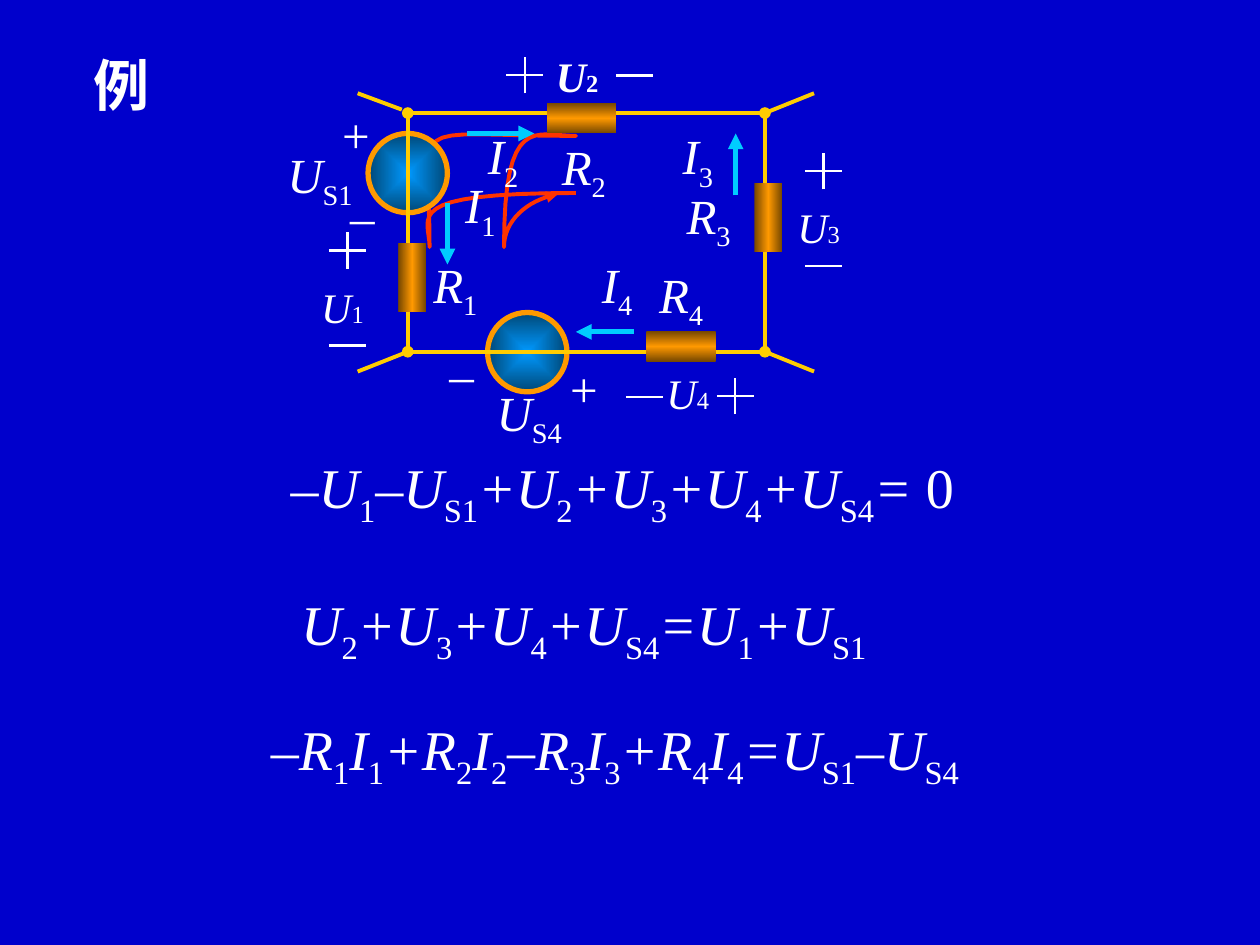
"""Build a slide on Kirchhoff's voltage law with a one-loop circuit and its equations."""
from dataclasses import dataclass
from typing import NamedTuple

from pptx import Presentation, oxml, util as u
from pptx.dml.color import RGBColor
from pptx.enum import shapes as kinds, text as styles
from pptx.oxml import ns

Cm, Pt = u.Cm, u.Pt
FONT = "Times New Roman"
WHITE, BLUE, GOLD, ORANGE, CYAN, RED = "FFFFFF", "0000CC", "FFCC00", "FF9900", "00CCFF", "FF3300"
RESISTOR_STOPS = ((0, "764700"), (50, ORANGE), (100, "764700"))
SOURCE_STOPS = ((0, "0099FF"), (100, "004776"))
RADIAL = '<a:path path="rect"><a:fillToRect l="50000" t="50000" r="50000" b="50000"/></a:path>'
LEFT, RIGHT, TOP, BOTTOM = 8.22, 15.42, 2.28, 7.09
SIGN_LENGTH = 0.74


class Point(NamedTuple):
    x: float
    y: float


@dataclass
class Label:
    """Text whose formula alternates italic symbols and subscripts, split by bars."""
    x: float
    y: float
    width: float
    formula: str = ""
    suffix: str = ""
    height: float = 1.6
    size: int = 28
    small: int = 0
    bold: bool = False
    centred: bool = True


@dataclass
class Wire:
    start: Point
    end: Point
    colour: str = GOLD
    weight: float = 2.25
    head: str = ""
    tail: str = ""


EQUATIONS = [
    Label(5.61, 8.99, 15.4, "–U|1|–U|S1|+U|2|+U|3|+U|4|+U|S4|= ", "0", 1.8, 32, centred=False),
    Label(5.82, 11.76, 13.2, "U|2|+U|3|+U|4|+U|S4|=U|1|+U|S1", "", 1.8, 32, centred=False),
    Label(5.21, 14.27, 16.6, "–R|1|I|1|+R|2|I|2|–R|3|I|3|+R|4|I|4|=U|S1|–U|S4", "", 1.8, 32,
          centred=False),
]
VOLTAGES = [
    Label(x, y, 1.37, f"U|{number}", height=1.27, size=24, small=14, bold=number == 2)
    for number, x, y in ((3, 15.82, 3.94), (1, 6.22, 5.54), (2, 10.95, 0.89), (4, 13.18, 7.29))
]
PARTS = [
    Label(8.81, 3.4, 1.75, "I|1"),
    Label(9.42, 2.41, 1.45, "I|2"),
    Label(13.41, 2.41, 1.32, "I|3"),
    Label(11.4, 5.0, 2.08, "I|4"),
    Label(8.23, 5.0, 1.9, "R|1"),
    Label(10.82, 2.62, 1.9, "R|2"),
    Label(13.41, 3.61, 1.75, "R|3"),
    Label(12.83, 5.21, 1.8, "R|4"),
    Label(5.41, 2.79, 2.08, "U|S1"),
    Label(9.63, 7.59, 2.08, "U|S4"),
    Label(6.65, 1.98, 1.0, suffix="+", height=1.45),
    Label(6.81, 3.28, 0.81, suffix="_", height=1.45),
    Label(11.02, 7.09, 1.5, suffix="+", height=1.45),
    Label(8.81, 6.48, 0.81, suffix="_", height=1.45),
]
PLUSES = [Point(16.6, 3.45), Point(7, 5.05), Point(10.58, 1.51), Point(14.82, 7.98)]
MINUSES = [Point(16.6, 5.36), Point(7, 6.96), Point(12.79, 1.52), Point(12.99, 8)]
WIRES = [
    Wire(Point(LEFT, TOP), Point(RIGHT, TOP)),
    Wire(Point(LEFT, BOTTOM), Point(RIGHT, BOTTOM)),
    Wire(Point(RIGHT, TOP), Point(RIGHT, BOTTOM), head="oval", tail="oval"),
    Wire(Point(LEFT, TOP), Point(LEFT, BOTTOM), head="oval", tail="oval"),
    Wire(Point(RIGHT, BOTTOM), Point(16.41, 7.49)),
    Wire(Point(RIGHT, TOP), Point(16.41, 1.88)),
    Wire(Point(LEFT, BOTTOM), Point(7.21, 7.49)),
    Wire(Point(7.21, 1.88), Point(8.1, 2.21)),
]
CURRENTS = [
    Wire(Point(*start), Point(*end), CYAN, 3, tail="triangle")
    for start, end in (((9.02, 4.09), (9.02, 5.33)), ((12.78, 6.69), (11.61, 6.69)),
                       ((9.42, 2.69), (10.77, 2.69)), ((14.83, 3.94), (14.83, 2.69)))
]
SOURCES = [Point(9.83, 6.3), Point(7.42, 2.69)]
UPRIGHT_RESISTORS = [Point(15.21, 3.68), Point(8.03, 4.9)]
FLAT_RESISTORS = [Point(13.03, 6.68), Point(11.02, 2.08)]
LOOP_START = Point(11.61, 3.89)
LOOP_CURVES = [
    (Point(8.03, 3.89), Point(8.66, 4.37), Point(8.66, 4.98)),
    (Point(8.66, 2.26), Point(8.03, 2.74), Point(11.61, 2.74)),
    (Point(10.8, 2.74), Point(10.16, 2.26), Point(10.16, 4.98)),
    (Point(10.16, 4.47), Point(10.59, 4.04), Point(11.25, 3.91)),
]


def colour_of(value: str) -> RGBColor:
    return RGBColor.from_string(value)


def style_line(line, colour: str, weight: float, head: str = "", tail: str = "") -> None:
    line.color.rgb = colour_of(colour)
    line.width = Pt(weight)
    for tag, end in (("headEnd", head), ("tailEnd", tail)):
        if end:
            line._get_or_add_ln().append(
                oxml.parse_xml(f'<a:{tag} {ns.nsdecls("a")} type="{end}"/>'))


def add_wire(slide, wire: Wire) -> None:
    connector = slide.shapes.add_connector(
        kinds.MSO_CONNECTOR.STRAIGHT, *(Cm(value) for value in (*wire.start, *wire.end)))
    style_line(connector.line, wire.colour, wire.weight, wire.head, wire.tail)
    connector._element.spPr.append(oxml.parse_xml(f'<a:effectLst {ns.nsdecls("a")}/>'))


def add_sign(slide, centre: Point, plus: bool) -> None:
    half = SIGN_LENGTH / 2
    for dx, dy in ((half, 0), (0, half))[:2 if plus else 1]:
        add_wire(slide, Wire(Point(centre.x - dx, centre.y + dy),
                             Point(centre.x + dx, centre.y - dy), WHITE, 1.5))


def add_label(slide, label: Label) -> None:
    frame = slide.shapes.add_textbox(
        Cm(label.x), Cm(label.y), Cm(label.width), Cm(label.height)).text_frame
    frame.word_wrap = not label.centred
    frame.vertical_anchor = styles.MSO_ANCHOR.MIDDLE
    paragraph = frame.paragraphs[0]
    paragraph.alignment = styles.PP_ALIGN.CENTER if label.centred else styles.PP_ALIGN.LEFT
    pieces = [(piece, index % 2) for index, piece in enumerate(label.formula.split("|")) if piece]
    for piece, lowered in pieces:
        run = paragraph.add_run()
        run.text = piece
        run.font.italic = not lowered
        if lowered and label.small:
            run.font.size = Pt(label.small)
        elif lowered:
            run.font._element.set("baseline", "-25000")
    if label.suffix:
        paragraph.add_run().text = label.suffix
    for run in paragraph.runs:
        run.font.name = FONT
        run.font.bold = label.bold
        run.font.color.rgb = colour_of(WHITE)
        run.font.size = run.font.size or Pt(label.size)


def add_part(slide, kind, corner: Point, width: float, height: float, stops, direction: str):
    shape = slide.shapes.add_shape(kind, Cm(corner.x), Cm(corner.y), Cm(width), Cm(height))
    shape.shadow.inherit = False
    shape.line.fill.background()
    stop_list = "".join(f'<a:gs pos="{position * 1000}"><a:srgbClr val="{colour}"/></a:gs>'
                        for position, colour in stops)
    shape._element.spPr.insert(2, oxml.parse_xml(
        f'<a:gradFill {ns.nsdecls("a")} rotWithShape="1"><a:gsLst>{stop_list}</a:gsLst>'
        f'{direction}</a:gradFill>'))
    return shape


def bezier(points: tuple, t: float) -> Point:
    weights = ((1 - t) ** 3, 3 * t * (1 - t) ** 2, 3 * t ** 2 * (1 - t), t ** 3)
    return Point(*(sum(w * value for w, value in zip(weights, axis)) for axis in zip(*points)))


def add_loop(slide, start: Point, curves: list, steps: int = 16) -> None:
    builder = slide.shapes.build_freeform(Cm(start.x), Cm(start.y))
    for curve in curves:
        samples = [bezier((start, *curve), step / steps) for step in range(1, steps + 1)]
        builder.add_line_segments([(Cm(x), Cm(y)) for x, y in samples], close=False)
        start = curve[-1]
    shape = builder.convert_to_shape()
    shape.shadow.inherit = False
    shape.fill.background()
    style_line(shape.line, RED, 2.25, tail="triangle")


def add_title(slide, title: str) -> None:
    shape = slide.shapes.title
    shape.left, shape.top, shape.width, shape.height = Cm(1.63), Cm(0.89), Cm(2.5), Cm(1.63)
    frame = shape.text_frame
    frame.text = title
    frame.auto_size = styles.MSO_AUTO_SIZE.NONE
    frame.vertical_anchor = styles.MSO_ANCHOR.TOP
    paragraph = frame.paragraphs[0]
    paragraph.alignment = styles.PP_ALIGN.LEFT
    font = paragraph.font
    font.name, font.size, font.bold = FONT, Pt(32), True
    font.color.rgb = colour_of(WHITE)


def main() -> None:
    presentation = Presentation()
    presentation.slide_width, presentation.slide_height = Cm(25.4), Cm(19.05)
    slide = presentation.slides.add_slide(presentation.slide_layouts[5])
    slide.background.fill.solid()
    slide.background.fill.fore_color.rgb = colour_of(BLUE)
    add_title(slide, "例")
    for signs, plus in ((PLUSES, True), (MINUSES, False)):
        for centre in signs:
            add_sign(slide, centre, plus)
    add_loop(slide, LOOP_START, LOOP_CURVES)
    for corner in SOURCES:
        source = add_part(slide, kinds.MSO_SHAPE.OVAL, corner, 1.6, 1.6, SOURCE_STOPS, RADIAL)
        style_line(source.line, ORANGE, 3)
    for wire in WIRES + CURRENTS:
        add_wire(slide, wire)
    for corners, width, height, angle in ((UPRIGHT_RESISTORS, 0.56, 1.4, 0),
                                          (FLAT_RESISTORS, 1.4, 0.61, 90)):
        for corner in corners:
            add_part(slide, kinds.MSO_SHAPE.RECTANGLE, corner, width, height, RESISTOR_STOPS,
                     f'<a:lin ang="{angle * 60000}" scaled="1"/>')
    for label in EQUATIONS + VOLTAGES + PARTS:
        add_label(slide, label)
    presentation.save("out.pptx")


if __name__ == "__main__":
    main()
